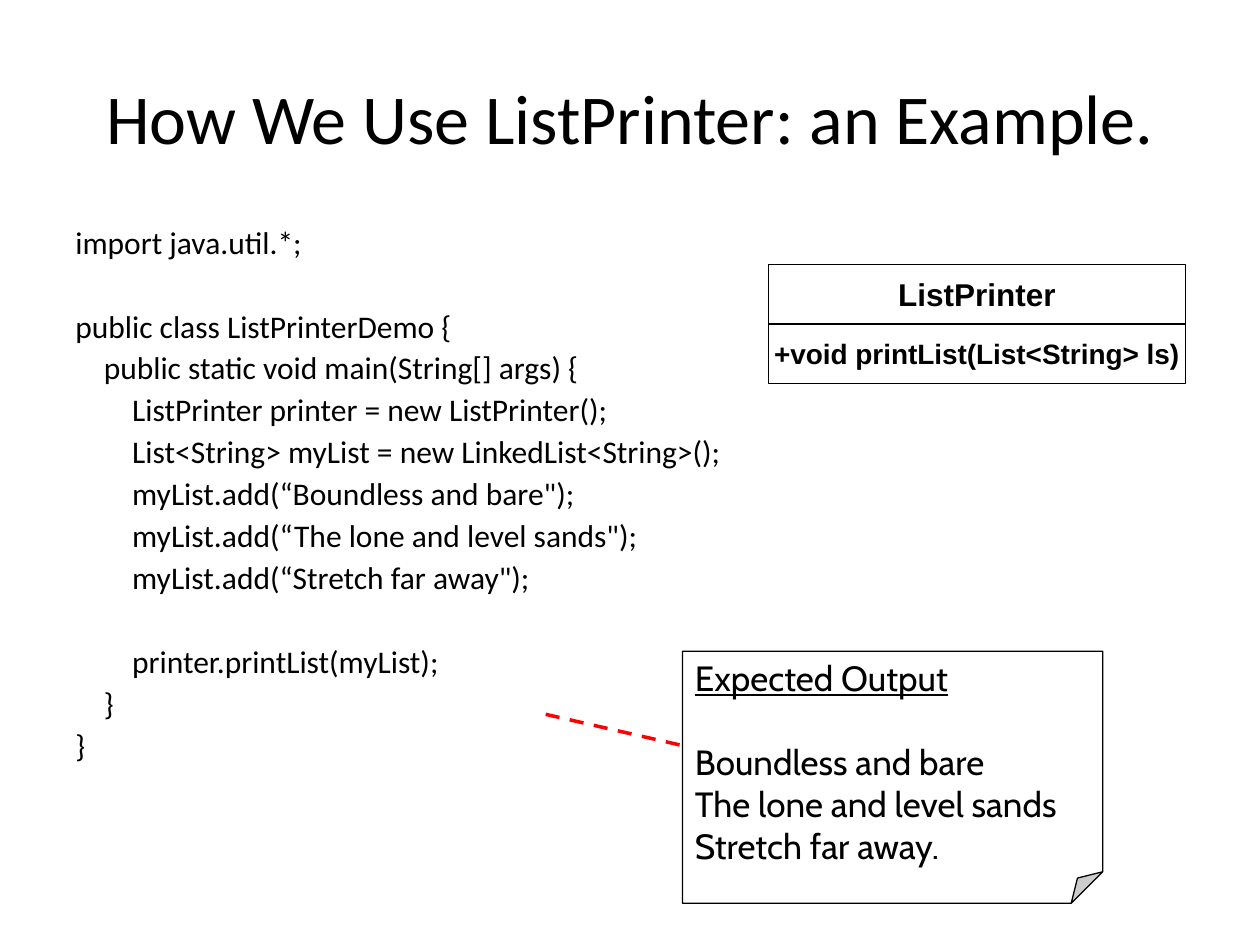
from dataclasses import dataclass

from lxml import etree
from pptx import Presentation
from pptx import util as u
from pptx.dml.color import RGBColor
from pptx.enum import dml, shapes, text
from pptx.oxml.ns import qn


@dataclass(frozen=True)
class Theme:
    ink: RGBColor = RGBColor(0, 0, 0)
    paper: RGBColor = RGBColor(255, 255, 255)
    accent: RGBColor = RGBColor(255, 0, 0)
    body_font: str = "Calibri"
    note_font: str = "Cabin"
    diagram_font: str = "Arial"
    title_size: float = 40
    note_size: float = 20
    code_size: float = 18
    method_size: float = 16
    outline: float = 0.75
    dash_width: float = 2


@dataclass(frozen=True)
class Frame:
    left: float
    top: float
    width: float
    height: float

    def lengths(self) -> tuple:
        return tuple(u.Cm(n) for n in (self.left, self.top, self.width, self.height))


@dataclass(frozen=True)
class Compartment:
    label: str
    size: float


THEME = Theme()
TITLE = "How We Use ListPrinter: an Example."
CODE = """import java.util.*;

public class ListPrinterDemo {
    public static void main(String[] args) {
        ListPrinter printer = new ListPrinter();
        List<String> myList = new LinkedList<String>();
        myList.add(“Boundless and bare");
        myList.add(“The lone and level sands");
        myList.add(“Stretch far away");

        printer.printList(myList);
    }
}"""
OUTPUT = """Expected Output

Boundless and bare
The lone and level sands
Stretch far away."""
CLASS_BOX = (
    Compartment("ListPrinter", THEME.code_size),
    Compartment("+void printList(List<String> ls)", THEME.method_size),
)


def write(box, content: str, *, font: str, size: float, bold: bool = False,
          align=text.PP_ALIGN.LEFT, anchor=text.MSO_ANCHOR.MIDDLE, wrap: bool = True,
          line_spacing: float = 1.0, space_before: float = 0, blank_gap: float = 0,
          underline_first: bool = False) -> None:
    frame = box.text_frame
    frame.word_wrap = wrap
    frame.vertical_anchor = anchor
    para = frame.paragraphs[0]
    gap = 0
    for index, line in enumerate(content.split("\n")):
        if not line:
            gap += blank_gap
            continue
        if index:
            para = frame.add_paragraph()
        para.alignment = align
        para.line_spacing = line_spacing
        para.space_before = u.Pt(gap)
        gap = space_before
        span = para.add_run()
        span.text = line
        span.font.name = font
        span.font.size = u.Pt(size)
        span.font.bold = bold
        span.font.underline = underline_first and index == 0
        span.font.color.rgb = THEME.ink


def add_outlined(page, kind, frame: Frame, fill: RGBColor | None = None):
    box = page.shapes.add_shape(kind, *frame.lengths())
    box.shadow.inherit = False
    if fill is None:
        box.fill.background()
    else:
        box.fill.solid()
        box.fill.fore_color.rgb = fill
    box.line.color.rgb = THEME.ink
    box.line.width = u.Pt(THEME.outline)
    return box


def set_fold(box, share: float) -> None:
    guides = box._element.spPr.find(qn("a:prstGeom")).get_or_add_avLst()
    for guide in list(guides):
        guides.remove(guide)
    etree.SubElement(guides, qn("a:gd"), name="adj", fmla=f"val {round(share * 100000)}")


def add_class_box(page, frame: Frame, compartments: tuple[Compartment, ...]) -> None:
    for row, part in enumerate(compartments):
        cell = Frame(frame.left, frame.top + row * frame.height, frame.width, frame.height)
        box = add_outlined(page, shapes.MSO_SHAPE.RECTANGLE, cell)
        write(box, part.label, font=THEME.diagram_font, size=part.size, bold=True,
              align=text.PP_ALIGN.CENTER, wrap=False)


def add_dashed_line(page, start: tuple[float, float], end: tuple[float, float]) -> None:
    link = page.shapes.add_connector(
        shapes.MSO_CONNECTOR.STRAIGHT, *(u.Cm(n) for n in start + end))
    link.line.color.rgb = THEME.accent
    link.line.width = u.Pt(THEME.dash_width)
    link.line.dash_style = dml.MSO_LINE.DASH
    etree.SubElement(link._element.spPr, qn("a:effectLst"))


def main() -> None:
    deck = Presentation()
    deck.slide_width, deck.slide_height = u.Cm(25.4), u.Cm(19.05)
    page = deck.slides.add_slide(deck.slide_layouts[6])

    title = page.shapes.add_textbox(*Frame(1.27, 0.76, 22.86, 3.18).lengths())
    write(title, TITLE, font=THEME.body_font, size=THEME.title_size,
          align=text.PP_ALIGN.CENTER)

    code = page.shapes.add_textbox(*Frame(1.27, 4.45, 22.86, 12.57).lengths())
    write(code, CODE, font=THEME.body_font, size=THEME.code_size,
          anchor=text.MSO_ANCHOR.TOP, line_spacing=0.9, space_before=4.5, blank_gap=24)

    note = Frame(13.76, 13.13, 8.47, 5.08)
    folded = add_outlined(page, shapes.MSO_SHAPE.FOLDED_CORNER, note, THEME.paper)
    set_fold(folded, 0.125)
    write(folded, OUTPUT, font=THEME.note_font, size=THEME.note_size,
          blank_gap=24, underline_first=True)

    add_dashed_line(page, (11.0, 14.4), (note.left, 15.03))
    add_class_box(page, Frame(15.49, 5.33, 8.41, 1.2), CLASS_BOX)
    deck.save("out.pptx")


if __name__ == "__main__":
    main()
